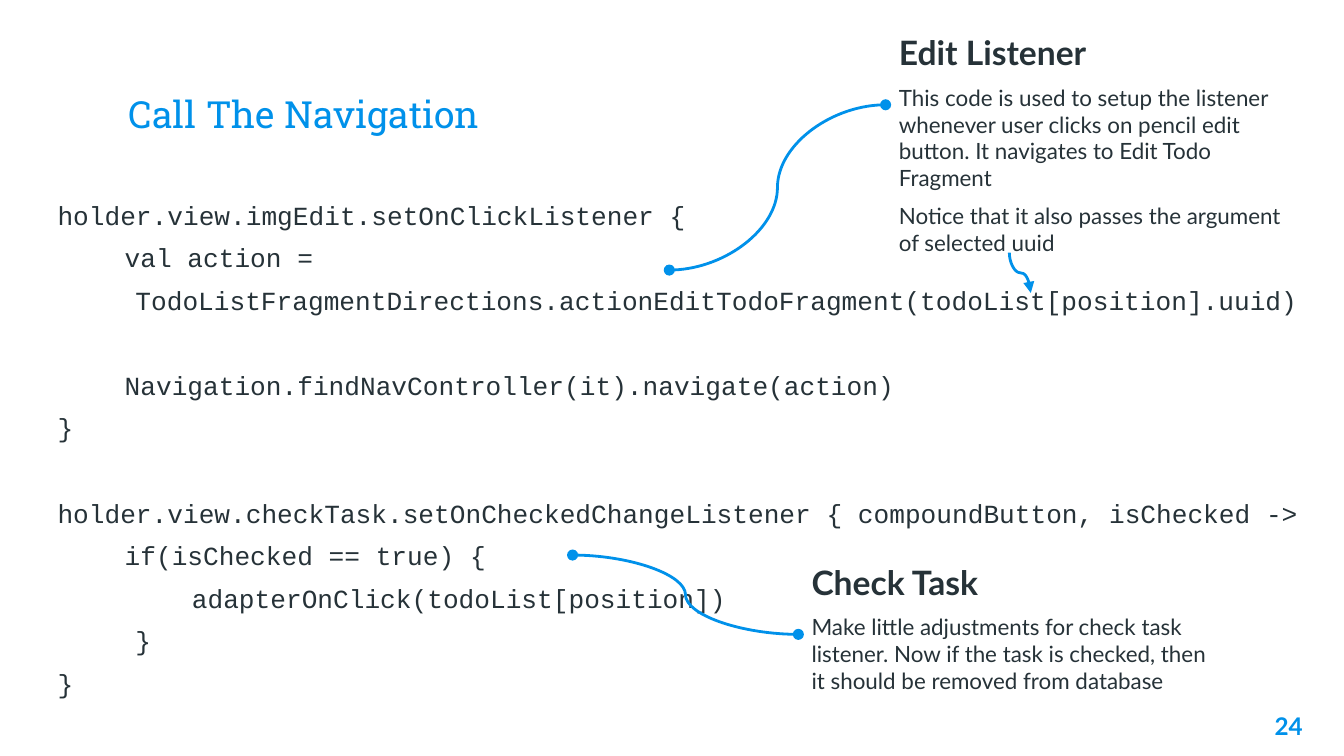
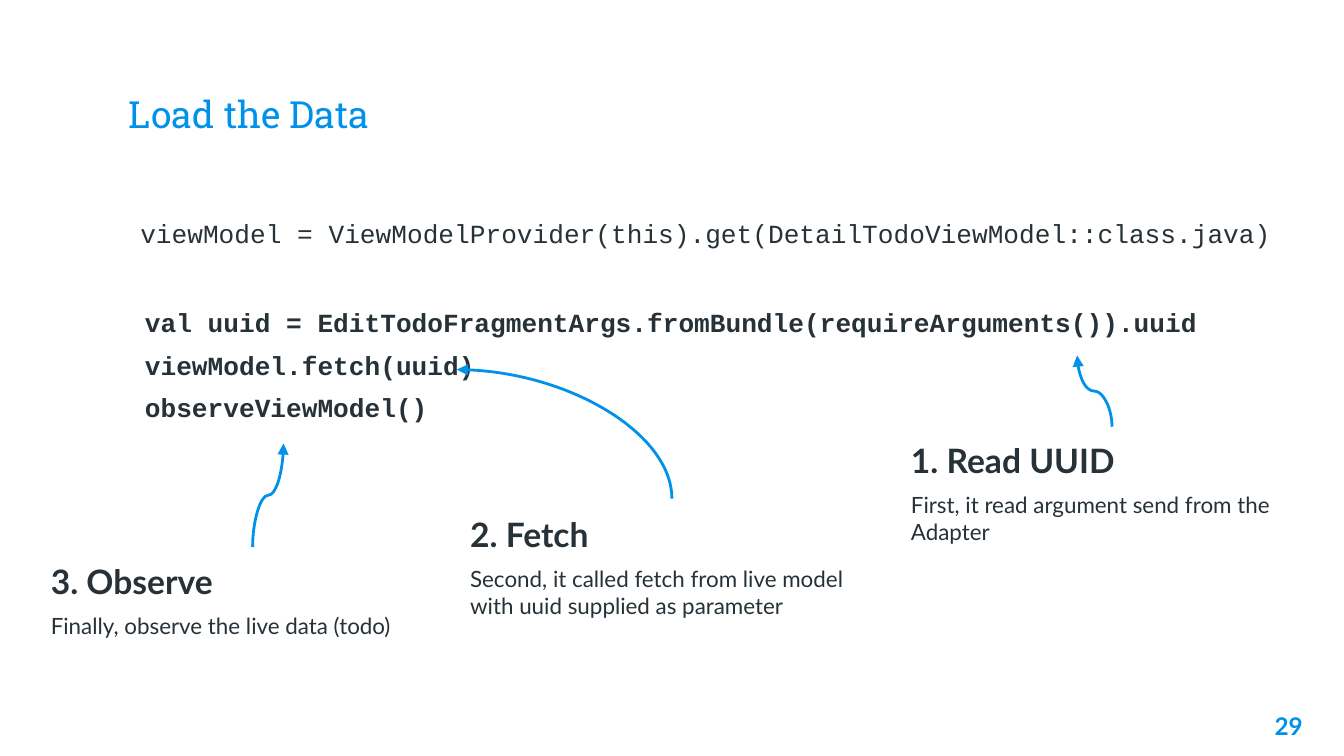
from pptx import Presentation, util as u
from pptx.dml.color import RGBColor
from pptx.enum import shapes, text
from pptx.oxml import ns
from lxml import etree

COLORS = {"accent": "0091EA", "ink": "263238"}
TITLE_FONT, BODY_FONT, CODE_FONT = "Roboto Slab", "Lato", "Courier New"
LINE, BLANK = 6, 28.8

slides = [
    {
        "title": "Call The Navigation",
        "number": "24",
        "code_box": (0.33, 1.38, 9.67, 3.91),
        "code": [
            (0, LINE, False, "holder.view.imgEdit.setOnClickListener {"),
            (0.5, LINE, False, "val action ="),
            (0.58, LINE, False, "TodoListFragmentDirections.actionEditTodoFragment(todoList[position].uuid)"),
            (0.5, BLANK, False, "Navigation.findNavController(it).navigate(action)"),
            (0, LINE, False, "}"),
            (0, BLANK, False, "holder.view.checkTask.setOnCheckedChangeListener { compoundButton, isChecked ->"),
            (0.5, LINE, False, "if(isChecked == true) {"),
            (1, LINE, False, "adapterOnClick(todoList[position])"),
            (0.58, LINE, False, "}"),
            (0, LINE, False, "}"),
        ],
        "callouts": [
            (6.59, 0.14, "Edit Listener", [
                "This code is used to setup the listener whenever user clicks on pencil edit button. "
                "It navigates to Edit Todo Fragment",
                "Notice that it also passes the argument of selected uuid"]),
            (5.94, 4.08, "Check Task", [
                "Make little adjustments for check task listener. Now if the task is checked, "
                "then it should be removed from database"]),
        ],
        "curves": [
            (4.98, 0.78, 1.61, 1.23, 0, True, "curvedConnector3", "oval", "oval"),
            (7.44, 1.95, 0.3, 0.16, 270, True, "curvedConnector3", "none", "triangle"),
            (4.26, 4.13, 1.68, 0.59, 180, False, "curvedConnector3", "oval", "oval"),
        ],
    },
    {
        "title": "Load the Data",
        "number": "29",
        "code_box": (0.86, 1.38, 9.01, 3.91),
        "lead_size": 24,
        "code": [
            (0, LINE, False, "viewModel = ViewModelProvider(this).get(DetailTodoViewModel::class.java)"),
            (0.12, BLANK, True, "val uuid = EditTodoFragmentArgs.fromBundle(requireArguments()).uuid"),
            (0.12, LINE, True, "viewModel.fetch(uuid)"),
            (0.12, LINE, True, "observeViewModel()"),
        ],
        "callouts": [
            (6.68, 3.17, "1. Read UUID", ["First, it read argument send from the Adapter"]),
            (3.4, 3.72, "2. Fetch", ["Second, it called fetch from live model with uuid supplied as parameter"]),
            (0.28, 4.07, "3. Observe", ["Finally, observe the live data (todo)"]),
        ],
        "curves": [
            (7.88, 2.78, 0.53, 0.26, 90, True, "curvedConnector3", "none", "triangle"),
            (3.72, 2.43, 0.96, 1.6, 90, True, "curvedConnector2", "none", "triangle"),
            (1.61, 3.57, 0.77, 0.23, 270, False, "curvedConnector3", "none", "triangle"),
        ],
    },
]


def add_box(slide, left, top, width, height):
    frame = slide.shapes.add_textbox(*map(u.Inches, (left, top, width, height))).text_frame
    frame.word_wrap = True
    frame.margin_left = frame.margin_right = frame.margin_top = frame.margin_bottom = u.Inches(0.1)
    return frame


def add_run(paragraph, words, size, font, color, bold=False):
    run = paragraph.add_run()
    run.text = words
    run.font.size = u.Pt(size)
    run.font.name = font
    run.font.bold = bold
    run.font.color.rgb = RGBColor.from_string(COLORS[color])


presentation = Presentation()
presentation.slide_width = u.Inches(10)
presentation.slide_height = u.Inches(10 * 9 / 16)

for content in slides:
    slide = presentation.slides.add_slide(presentation.slide_layouts[6])

    frame = add_box(slide, 0.86, 0.34, 8.28, 0.77)
    frame.vertical_anchor = text.MSO_ANCHOR.BOTTOM
    add_run(frame.paragraphs[0], content["title"], 20, TITLE_FONT, "accent")

    frame = add_box(slide, *content["code_box"])
    for index, (indent, space, bold, words) in enumerate(content["code"]):
        paragraph = frame.add_paragraph() if index else frame.paragraphs[0]
        paragraph.space_before = u.Pt(space)
        paragraph._p.get_or_add_pPr().set("marL", str(u.Inches(indent)))
        if index == 0 and "lead_size" in content:
            add_run(paragraph, " ", content["lead_size"], BODY_FONT, "ink")
        add_run(paragraph, words, 14, CODE_FONT, "ink", bold)

    frame = add_box(slide, 9.19, 5.19, 0.6, 0.43)
    frame.paragraphs[0].alignment = text.PP_ALIGN.RIGHT
    add_run(frame.paragraphs[0], content["number"], 13, BODY_FONT, "accent", True)

    for left, top, heading, notes in content["callouts"]:
        frame = add_box(slide, left, top, 3.2, 1.28)
        frame.paragraphs[0].space_before = u.Pt(LINE)
        add_run(frame.paragraphs[0], heading, 18, BODY_FONT, "ink", True)
        for note in notes:
            paragraph = frame.add_paragraph()
            paragraph.space_before = u.Pt(LINE)
            add_run(paragraph, note, 12, BODY_FONT, "ink")

    for left, top, width, height, angle, flipped, preset, head, tail in content["curves"]:
        start, end = (left + width, left) if flipped else (left, left + width)
        curve = slide.shapes.add_connector(
            shapes.MSO_CONNECTOR.CURVE, *map(u.Inches, (start, top, end, top + height)))
        curve.line.color.rgb = RGBColor.from_string(COLORS["accent"])
        curve.line.width = u.Pt(1.5)
        properties = curve._element.spPr
        properties.find(ns.qn("a:xfrm")).set("rot", str(angle * 60000))
        properties.find(ns.qn("a:prstGeom")).set("prst", preset)
        outline = properties.find(ns.qn("a:ln"))
        etree.SubElement(outline, ns.qn("a:headEnd")).set("type", head)
        etree.SubElement(outline, ns.qn("a:tailEnd")).set("type", tail)
        etree.SubElement(properties, ns.qn("a:effectLst"))

presentation.save("out.pptx")
